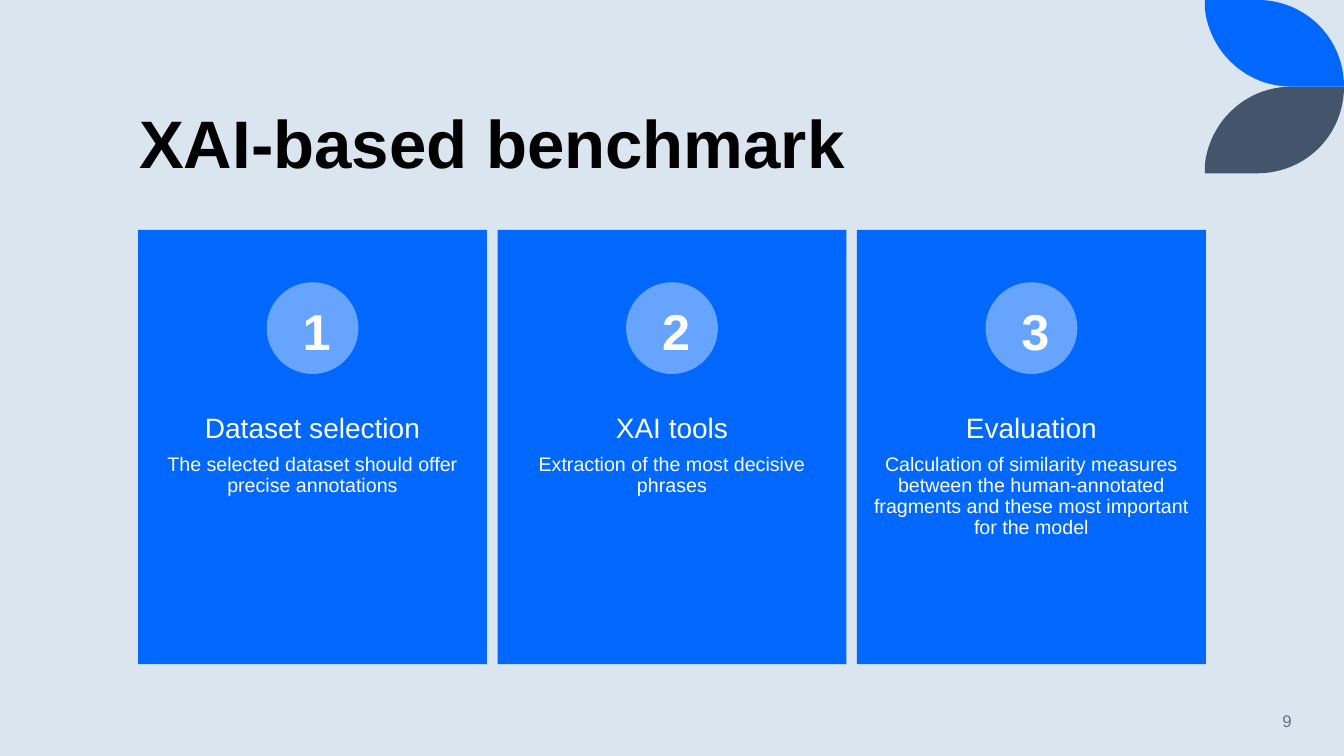
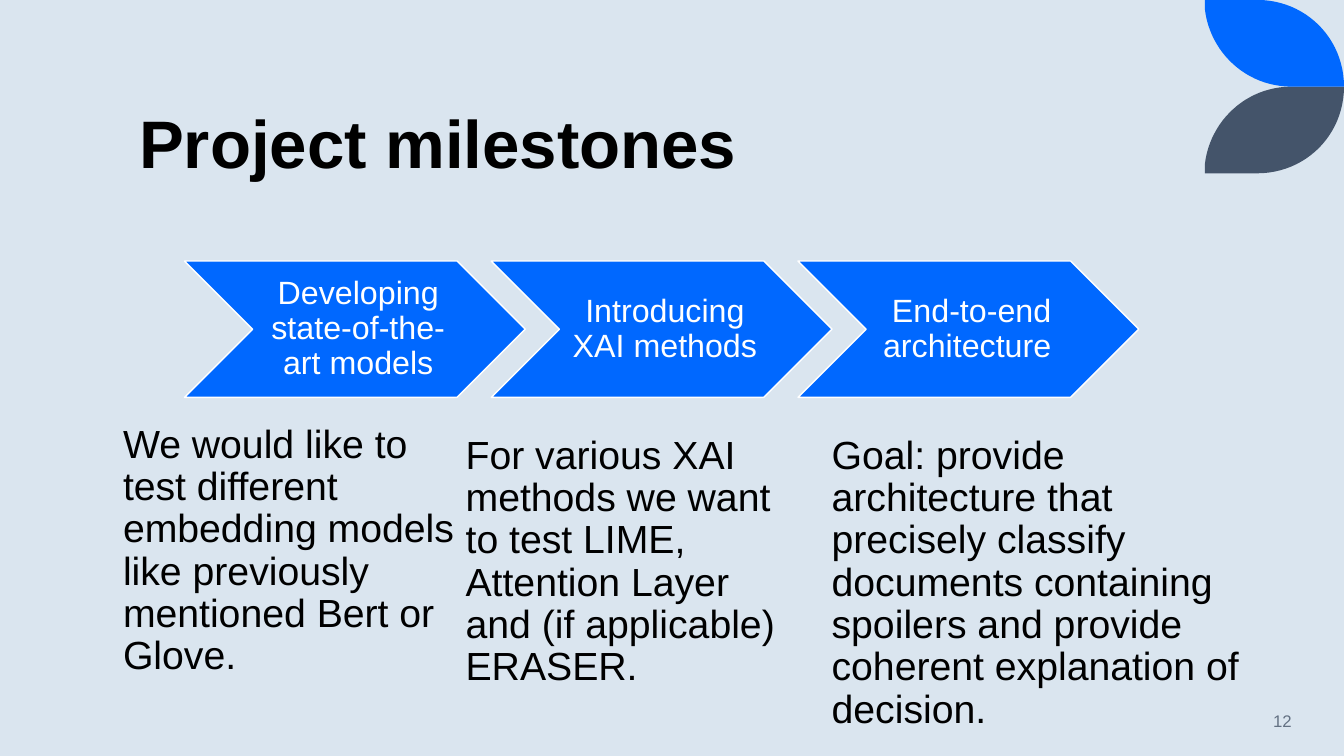
from dataclasses import dataclass

from lxml import etree
from pptx import Presentation
from pptx import util as u
from pptx.dml.color import RGBColor
from pptx.enum import shapes, text

STEPS = [
    ("Dataset selection", "The selected dataset should offer precise annotations"),
    ("XAI tools", "Extraction of the most decisive phrases"),
    ("Evaluation", "Calculation of similarity measures between the human-annotated "
                   "fragments and these most important for the model"),
]
MILESTONES = ["Developing state-of-the-art models", "Introducing XAI methods",
              "End-to-end architecture "]
# text, (left, top, width)
DETAILS = [
    ("We would like to test different embedding models like previously mentioned "
     "Bert or Glove.", (1.12, 4.16, 3.52)),
    ("For various XAI methods we want to test LIME, Attention Layer and "
     "(if applicable) ERASER.", (4.52, 4.27, 3.52)),
    ("Goal: provide architecture that precisely classify documents containing "
     "spoilers and provide coherent explanation of decision.", (8.15, 4.27, 4.32)),
]


@dataclass(frozen=True)
class Theme:
    font: str = "Arial"
    back: str = "DAE5EF"
    blue: str = "0068FF"
    pale: str = "66A4FF"
    slate: str = "44546A"
    grey: str = "637183"
    black: str = "000000"
    white: str = "FFFFFF"
    title: int = 48
    number: int = 36
    detail: int = 28
    milestone: int = 23
    step: int = 20
    note: int = 14
    page: int = 12


T = Theme()
WIDTH, HEIGHT = 13.33, 7.5
ALIGN, ANCHOR = text.PP_ALIGN, text.MSO_ANCHOR
KIND = shapes.MSO_SHAPE


def rgb(value):
    return RGBColor.from_string(value)


def place(sp, left, top, width, height):
    sp.left, sp.top, sp.width, sp.height = map(u.Inches, (left, top, width, height))


def paint(sp, fill, line=None):
    sp.shadow.inherit = False
    sp.fill.solid()
    sp.fill.fore_color.rgb = rgb(fill)
    if line:
        sp.line.color.rgb = rgb(line)
        sp.line.width = u.Pt(1)
    else:
        sp.line.fill.background()


def write(sp, *paras, color=T.black, bold=False, align=ALIGN.LEFT,
          anchor=ANCHOR.TOP, inset=(0.1, 0.05, 0.1, 0.05), spacing=0.9, before=0):
    """Fill a shape with paragraphs given as (text, size, space after)."""
    tf = sp.text_frame
    tf.word_wrap, tf.auto_size = True, text.MSO_AUTO_SIZE.NONE
    tf.vertical_anchor = anchor
    tf.margin_left, tf.margin_top, tf.margin_right, tf.margin_bottom = map(u.Inches, inset)
    for i, (words, size, after) in enumerate(paras):
        p = tf.add_paragraph() if i else tf.paragraphs[0]
        p.alignment, p.line_spacing = align, spacing
        p.space_before, p.space_after = u.Pt(before), u.Pt(after)
        r = p.add_run()
        r.text = words
        r.font.name, r.font.size, r.font.bold = T.font, u.Pt(size), bold
        r.font.color.rgb = rgb(color)


def add_text(slide, box, *paras, **fmt):
    write(slide.shapes.add_textbox(*map(u.Inches, box)), *paras, **fmt)


def add_shape(slide, kind, box, fill, line=None):
    paint(slide.shapes.add_shape(kind, *map(u.Inches, box)), fill, line)


def curve(a, b, c, d, steps=24):
    """Points of a cubic Bezier curve after its start."""
    for i in range(1, steps + 1):
        t = i / steps
        s = 1 - t
        yield tuple(s**3 * w + 3 * s * s * t * x + 3 * s * t * t * y + t**3 * z
                    for w, x, y, z in zip(a, b, c, d))


def leaf_points():
    yield from [(11.95, 0), (12.47, 0)]
    yield from curve((12.47, 0), (12.95, 0), (WIDTH, 0.38), (WIDTH, 0.86))
    yield (12.81, 0.86)
    yield from curve((12.81, 0.86), (12.36, 0.86), (12, 0.52), (11.95, 0.09))


def set_master(prs, slide):
    """Give the master its background, title place and corner leaves."""
    master = prs.slide_master
    master.background.fill.solid()
    master.background.fill.fore_color.rgb = rgb(T.back)
    place(master.placeholders[0], 1.28, 0.42, 10.69, 1.45)
    leaf = list(leaf_points())
    mirrored = [(x, 1.72 - y) for x, y in leaf]
    for points, color in ((leaf, T.blue), (mirrored, T.slate)):
        start, *rest = [(u.Inches(x), u.Inches(y)) for x, y in points]
        builder = slide.shapes.build_freeform(*start)
        builder.add_line_segments(rest, close=True)
        sp = builder.convert_to_shape()
        paint(sp, color)
        master.element.cSld.spTree.insert(2, sp.element)


def add_slide(prs, layout, title, page):
    slide = prs.slides.add_slide(prs.slide_layouts.get_by_name(layout))
    write(slide.shapes.title, (title, T.title, 0), bold=True, anchor=ANCHOR.BOTTOM)
    add_text(slide, (11.1, 6.95, 1.81, 0.4), (page, T.page, 0), color=T.grey,
             align=ALIGN.RIGHT, anchor=ANCHOR.MIDDLE, spacing=1)
    return slide


def draw_benchmark(slide):
    left, top, width, height, dot = 1.37, 2.28, 3.46, 4.31, 0.91
    pitch = (WIDTH - 2 * left - width) / (len(STEPS) - 1)
    for i, (name, note) in enumerate(STEPS):
        x = left + i * pitch
        middle = x + width / 2
        add_shape(slide, KIND.RECTANGLE, (x, top, width, height), T.blue)
        add_text(slide, (x, 4, width, 1.72), (name, T.step, 7), (note, T.note, 2.1),
                 color=T.white, align=ALIGN.CENTER, inset=(0.11,) * 4)
        add_shape(slide, KIND.OVAL, (middle - dot / 2, 2.8, dot, dot), T.pale)
        add_text(slide, (middle - 0.15, 2.93, 0.38, 0.71), (str(i + 1), T.number, 0),
                 color=T.white, bold=True, align=ALIGN.CENTER, spacing=1,
                 inset=(0, 0.05, 0, 0.05))


def draw_milestones(slide):
    left, top, width = 1.83, 2.59, 3.38
    height = 0.4 * width
    for i, name in enumerate(MILESTONES):
        x = left + i * 0.9 * width
        add_shape(slide, KIND.CHEVRON, (x, top, width, height), T.blue, T.white)
        add_text(slide, (x + 0.2 * width, top, 0.6 * width, height),
                 (name, T.milestone, 0), color=T.white, align=ALIGN.CENTER,
                 anchor=ANCHOR.MIDDLE, inset=(0.1, 0.03, 0.03, 0.03))

    body = slide.placeholders[1]
    for i, (words, (x, y, w)) in enumerate(DETAILS):
        sp = slide.shapes.add_textbox(0, 0, 0, 0) if i else body
        place(sp, x, y, w, 3.09)
        write(sp, (words, T.detail, 0), before=10)
    pPr = body.text_frame.paragraphs[0].runs[0].font._element.getparent().getparent().get_or_add_pPr()
    pPr.set("marL", "0")
    pPr.set("indent", "0")
    etree.SubElement(pPr, pPr.tag.replace("pPr", "buNone"))


def main():
    prs = Presentation()
    prs.slide_width, prs.slide_height = u.Inches(WIDTH), u.Inches(HEIGHT)
    benchmark = add_slide(prs, "Title Only", "XAI-based benchmark ", "9")
    set_master(prs, benchmark)
    draw_benchmark(benchmark)
    draw_milestones(add_slide(prs, "Title and Content", "Project milestones", "12"))
    prs.save("out.pptx")


if __name__ == "__main__":
    main()
